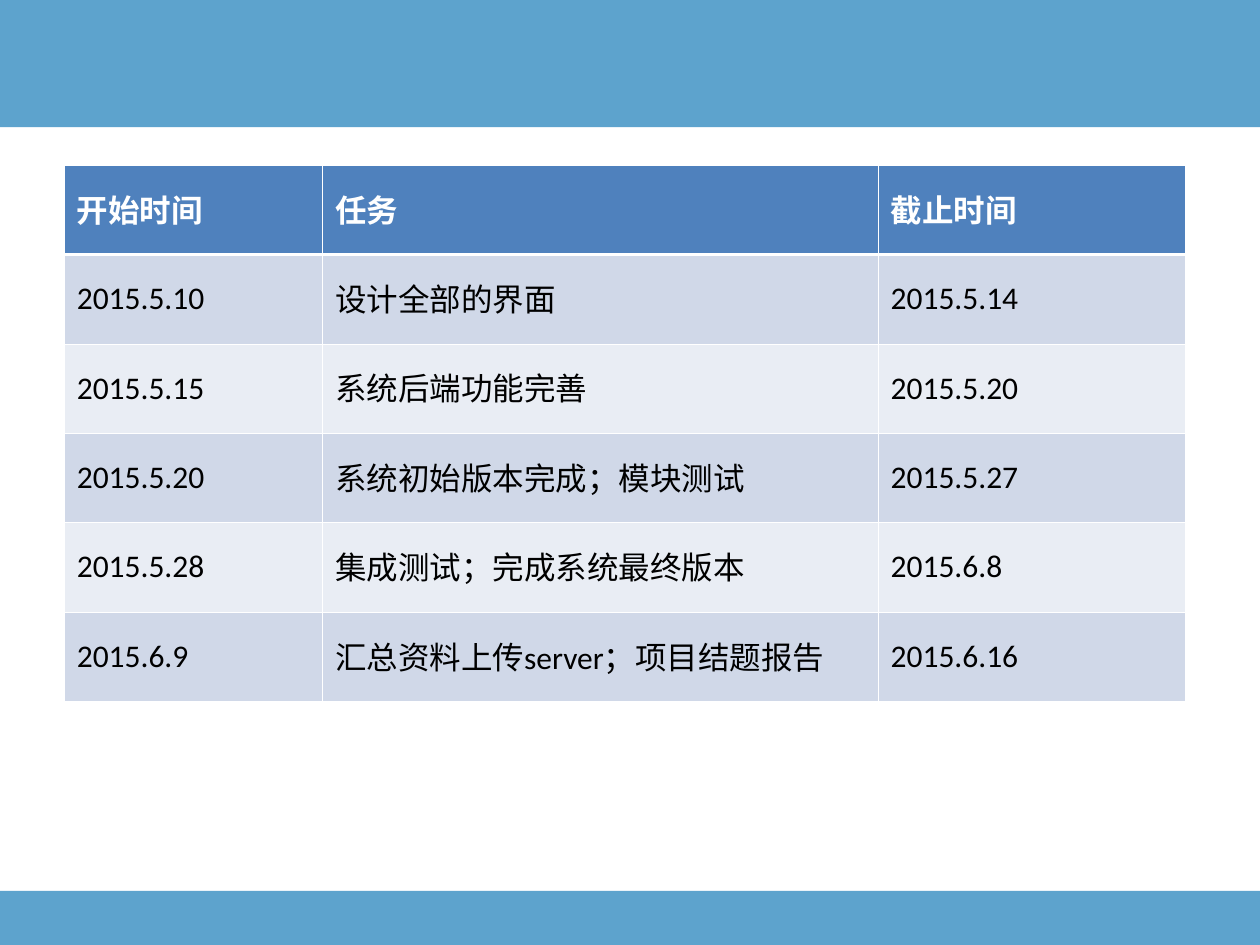
"""Build a project schedule slide with a task table between two blue bands."""
import pptx
import pptx.dml.color
import pptx.enum.shapes
import pptx.enum.text
import pptx.oxml
import pptx.oxml.ns
import pptx.util
from pptx.util import Inches

COLORS = {
    "band": "358CC1",
    "header": "4F81BD",
    "odd_row": "D0D8E8",
    "even_row": "E9EDF4",
    "white": "FFFFFF",
    "black": "000000",
}
BANDS = [(0, 1.01), (7.07, 0.43)]
COLUMN_WIDTHS = [2.05, 4.41, 2.44]
ROW_HEIGHT = 0.71
SCHEDULE = [
    ("开始时间", "任务", "截止时间"),
    ("2015.5.10", "设计全部的界面", "2015.5.14"),
    ("2015.5.15", "系统后端功能完善", "2015.5.20"),
    ("2015.5.20", "系统初始版本完成；模块测试", "2015.5.27"),
    ("2015.5.28", "集成测试；完成系统最终版本", "2015.6.8"),
    ("2015.6.9", "汇总资料上传server；项目结题报告", "2015.6.16"),
]


def rgb(name):
    return pptx.dml.color.RGBColor.from_string(COLORS[name])


def set_borders(cell, widths):
    properties = cell._tc.get_or_add_tcPr()
    for index, (side, width) in enumerate(widths.items()):
        line = pptx.oxml.parse_xml(
            f'<a:ln{side} {pptx.oxml.ns.nsdecls("a")} w="{pptx.util.Pt(width)}">'
            f'<a:solidFill><a:srgbClr val="{COLORS["white"]}"/></a:solidFill>'
            f'</a:ln{side}>'
        )
        properties.insert(index, line)


presentation = pptx.Presentation()
presentation.slide_width = Inches(10)
presentation.slide_height = Inches(7.5)
slide = presentation.slides.add_slide(presentation.slide_layouts[6])

for top, height in BANDS:
    band = slide.shapes.add_shape(
        pptx.enum.shapes.MSO_SHAPE.RECTANGLE,
        Inches(0), Inches(top), presentation.slide_width, Inches(height),
    )
    band.shadow.inherit = False
    band.line.fill.background()
    band.fill.solid()
    band.fill.fore_color.rgb = rgb("band")
    color_element = band._element.spPr.find(".//" + pptx.oxml.ns.qn("a:srgbClr"))
    color_element.append(
        pptx.oxml.parse_xml(f'<a:alpha {pptx.oxml.ns.nsdecls("a")} val="80000"/>')
    )

table = slide.shapes.add_table(
    len(SCHEDULE), len(COLUMN_WIDTHS), Inches(0.51), Inches(1.31),
    Inches(sum(COLUMN_WIDTHS)), Inches(ROW_HEIGHT * len(SCHEDULE)),
).table
for column, width in zip(table.columns, COLUMN_WIDTHS):
    column.width = Inches(width)

for row_index, entries in enumerate(SCHEDULE):
    table.rows[row_index].height = Inches(ROW_HEIGHT)
    is_header = row_index == 0
    row_fill = "header" if is_header else "odd_row" if row_index % 2 else "even_row"
    borders = {
        "L": 0.45,
        "R": 0.45,
        "T": 1.47 if row_index == 1 else 0.45,
        "B": 1.47 if is_header else 0.45,
    }
    for column_index, text in enumerate(entries):
        cell = table.cell(row_index, column_index)
        cell.fill.solid()
        cell.fill.fore_color.rgb = rgb(row_fill)
        set_borders(cell, borders)
        cell.vertical_anchor = pptx.enum.text.MSO_ANCHOR.MIDDLE
        cell.text_frame.text = text
        paragraph = cell.text_frame.paragraphs[0]
        paragraph.line_spacing = 0.9
        font = paragraph.runs[0].font
        font.name = "Calibri"
        font.size = pptx.util.Pt(18)
        font.bold = is_header
        font.color.rgb = rgb("white" if is_header else "black")

presentation.save("out.pptx")
